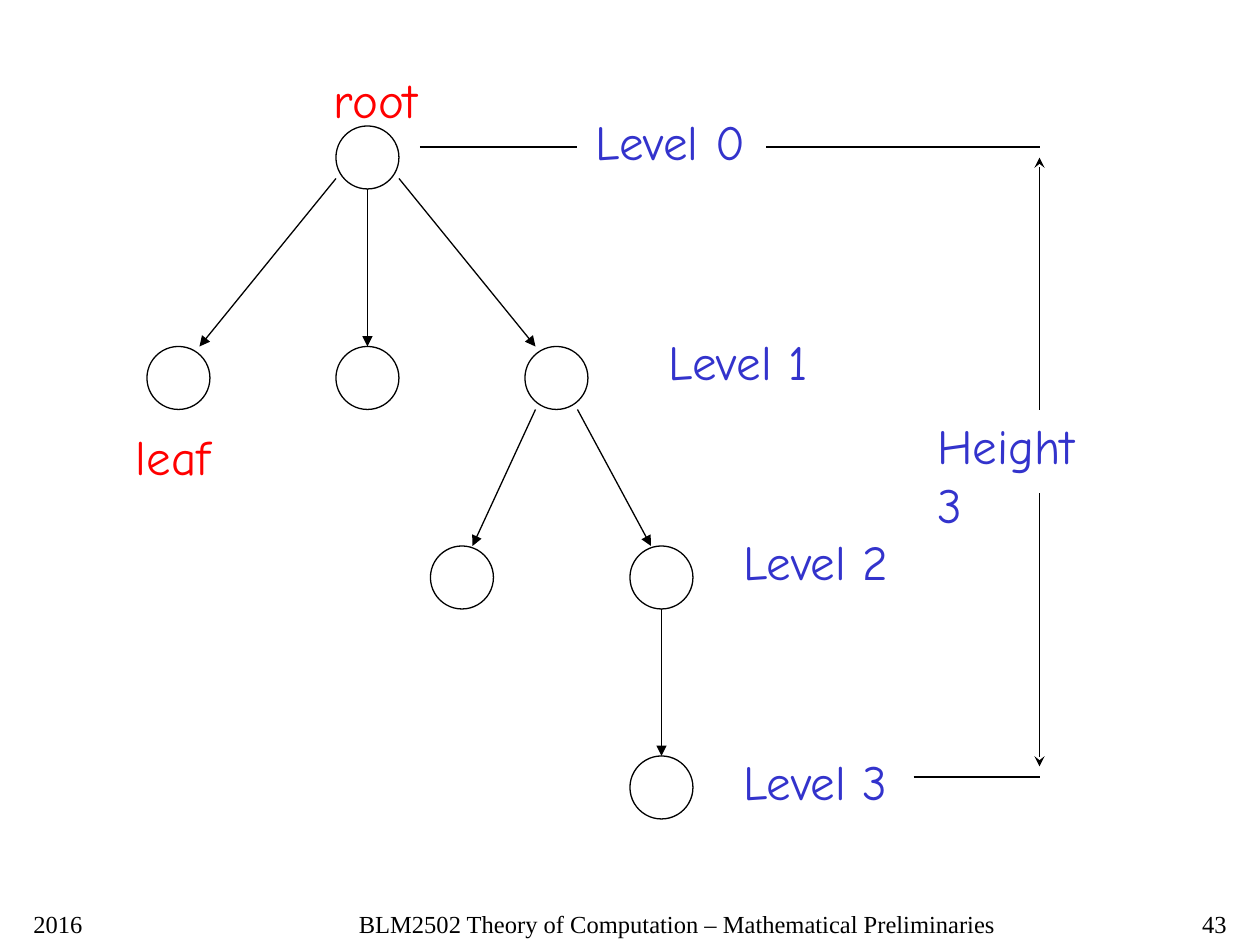
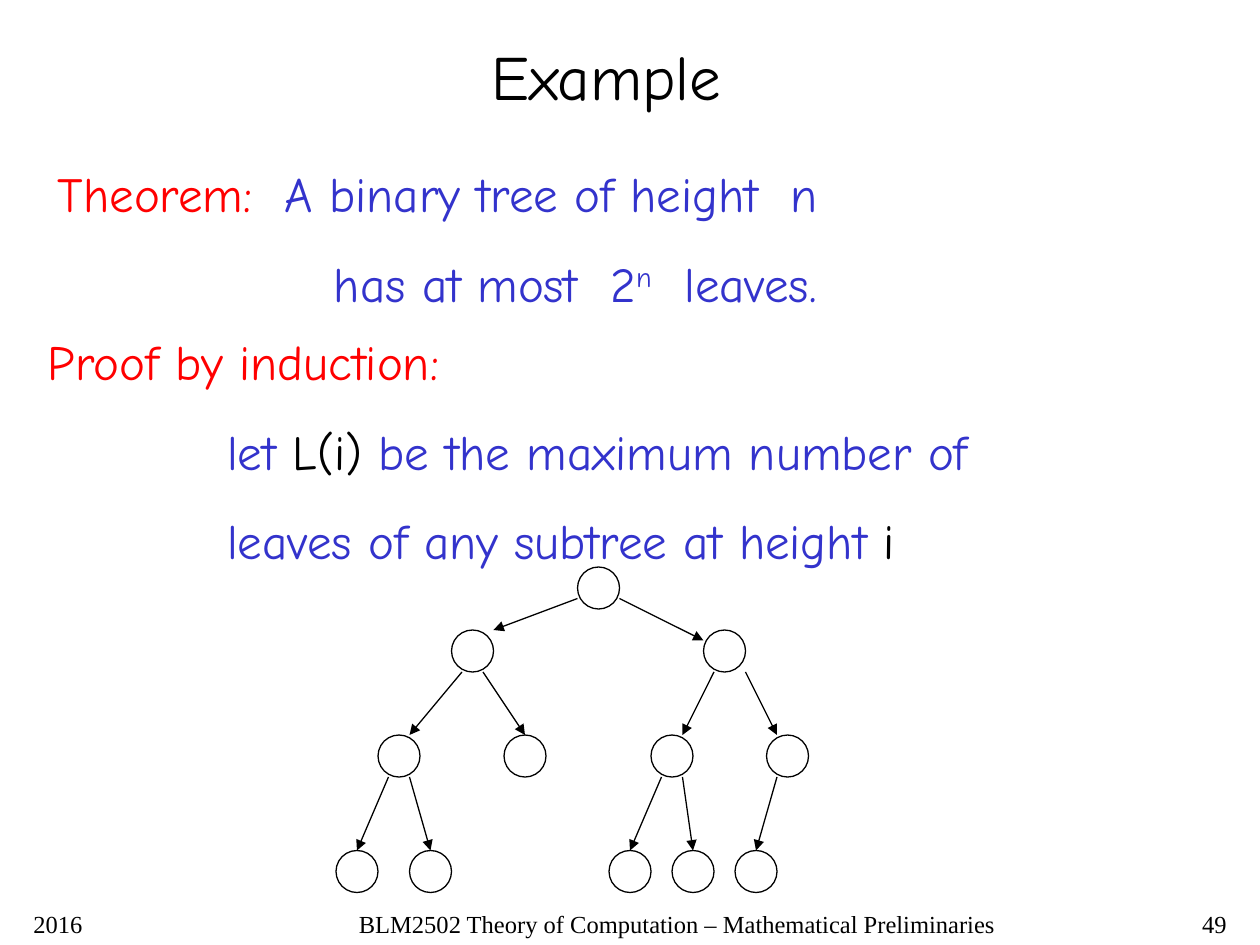
import dataclasses

import pptx
import pptx.dml.color
import pptx.enum.shapes
import pptx.enum.text
import pptx.oxml.ns
import pptx.util
from lxml import etree

ALIGN = pptx.enum.text.PP_ALIGN
FIT = pptx.enum.text.MSO_AUTO_SIZE
TOP = pptx.enum.text.MSO_ANCHOR.TOP
OVAL = pptx.enum.shapes.MSO_SHAPE.OVAL
LINE = pptx.enum.shapes.MSO_CONNECTOR.STRAIGHT


@dataclasses.dataclass(frozen=True)
class Theme:
    black: str = "000000"
    red: str = "FF0000"
    blue: str = "3333CC"
    hand: str = "Comic Neue"
    serif: str = "Times New Roman"
    title: float = 36
    body: float = 28
    foot: float = 14
    space: float = 17.5
    stroke: float = 0.75


THEME = Theme()
GRID = 2.54 / 12
SUPER = {"baseline": "30000"}
WIDE = {"spc": "930"}


def grid(count):
    return pptx.util.Cm(count * GRID)


def apply(thing, values):
    for name, value in values.items():
        setattr(thing, name, value)


def tint(code):
    return pptx.dml.color.RGBColor.from_string(code)


def place(shape, box):
    apply(shape, dict(zip(("left", "top", "width", "height"), map(grid, box))))


def add_run(para, words, ink, face, size, marks):
    run = para.add_run()
    run.text = words
    apply(run.font, {"name": face, "size": pptx.util.Pt(size)})
    run.font.color.rgb = tint(ink)
    for name, value in marks.items():
        run.font._element.set(name, value)


def fill_text(frame, paras, face, size, align=ALIGN.LEFT, grow=True):
    apply(frame, {
        "word_wrap": not grow,
        "auto_size": FIT.SHAPE_TO_FIT_TEXT if grow else FIT.NONE,
        "vertical_anchor": TOP,
    })
    for order, (indent, runs) in enumerate(paras):
        para = frame.add_paragraph() if order else frame.paragraphs[0]
        para.alignment = align
        if order:
            para.space_before = pptx.util.Pt(THEME.space)
        if indent:
            props = para._p.get_or_add_pPr()
            props.set("marL", str(grid(indent)))
            props.set("indent", "0")
        for words, ink, marks in runs:
            add_run(para, words, ink, face, size, marks)


def add_text(slide, box, paras, face=THEME.hand, size=THEME.body, **style):
    shape = slide.shapes.add_textbox(*map(grid, box))
    fill_text(shape.text_frame, paras, face, size, **style)


def add_label(slide, words, left, top, width, ink=THEME.blue):
    add_text(slide, (left, top, width, 6.84), [(0, [(words, ink, {})])])


def add_title(slide, words, box):
    place(slide.shapes.title, box)
    paras = [(0, [(words, THEME.black, {})])]
    fill_text(slide.shapes.title.text_frame, paras, THEME.hand, THEME.title)


def add_foot(slide, number):
    for words, left, width, align in (
        ("2016", 2, 21, ALIGN.LEFT),
        ("BLM2502 Theory of Computation – Mathematical Preliminaries",
         28, 73, ALIGN.CENTER),
        (number, 93, 25, ALIGN.RIGHT),
    ):
        add_text(slide, (left, 86, width, 4), [(0, [(words, THEME.black, {})])],
                 THEME.serif, THEME.foot, align=align, grow=False)


def add_node(slide, left, top, size):
    node = slide.shapes.add_shape(OVAL, *map(grid, (left, top, size, size)))
    node.shadow.inherit = False
    node.fill.background()
    draw_line(node.line)


def draw_line(line):
    line.color.rgb = tint(THEME.black)
    line.width = pptx.util.Pt(THEME.stroke)


def add_line(slide, points, end=None, tip=None):
    link = slide.shapes.add_connector(LINE, *map(grid, points))
    draw_line(link.line)
    props = link._element.spPr
    if end:
        stroke = props.find(pptx.oxml.ns.qn("a:ln"))
        etree.SubElement(stroke, pptx.oxml.ns.qn(f"a:{end}"), type=tip)
    etree.SubElement(props, pptx.oxml.ns.qn("a:effectLst"))


def add_tree(slide, size, rows, links):
    for top, lefts in rows.items():
        for left in lefts:
            add_node(slide, left, top, size)
    for points in links:
        add_line(slide, points, "tailEnd", "triangle")


def build_levels(deck):
    slide = deck.slides.add_slide(deck.slide_layouts[6])
    add_tree(
        slide, 6,
        {12: [32], 33: [14, 32, 50], 52: [41, 60], 72: [60]},
        [(32, 17, 19, 33), (35, 18, 35, 33), (38, 17, 51, 33),
         (51, 39, 45, 52), (55, 39, 62, 52), (63, 58, 63, 72)],
    )
    for points in ((40, 14, 55, 14), (73, 14, 99, 14), (87, 74, 99, 74)):
        add_line(slide, points)
    for points in ((99, 15, 99, 39), (99, 73, 99, 47)):
        add_line(slide, points, "headEnd", "stealth")
    add_label(slide, "root", 30.6, 6, 10.44, THEME.red)
    add_label(slide, "leaf", 11.76, 40, 9.48, THEME.red)
    for level, place_at in enumerate((
        (55.56, 10, 16.68), (62.52, 31, 15.72),
        (69.6, 50, 16.32), (69.6, 71, 16.2),
    )):
        add_label(slide, f"Level {level}", *place_at)
    add_label(slide, "Height 3", 88.08, 39, 19.32)
    add_foot(slide, "43")


def build_proof(deck):
    slide = deck.slides.add_slide(deck.slide_layouts[5])
    black, red, blue = THEME.black, THEME.red, THEME.blue
    gap = (" ", blue, WIDE)
    add_title(slide, "Example", (45.6, 3, 24.36, 8.4))
    add_text(slide, (4.32, 15, 75, 15.36), [
        (0, [("Theorem:", red, {}), gap,
             ("A binary tree of height", blue, {}), gap, ("n", blue, {})]),
        (26.3, [("has at most", blue, {}), gap, ("2", blue, {}),
                ("n", blue, SUPER), gap, ("leaves.", blue, {})]),
    ])
    add_text(slide, (3.36, 31, 91.56, 23.88), [
        (0, [("Proof by induction:", red, {})]),
        (17.1, [("let ", blue, {}), ("L(i)", black, {}),
                (" be the maximum number of", blue, {})]),
        (17.1, [("leaves of any subtree at height ", blue, {}),
                ("i", black, {})]),
    ])
    add_tree(
        slide, 4,
        {54: [55], 60: [43, 67], 70: [36, 48, 62, 73],
         81: [32, 39, 58, 64, 70]},
        [(55, 57, 47, 60), (59, 57, 67, 61), (44, 64, 39, 70),
         (46, 64, 50, 70), (68, 64, 65, 70), (71, 64, 74, 70),
         (37, 74, 34, 81), (39, 74, 41, 81), (63, 74, 60, 81),
         (65, 74, 66, 81), (74, 74, 72, 81)],
    )
    add_foot(slide, "49")


def main():
    deck = pptx.Presentation()
    apply(deck, {"slide_width": grid(120), "slide_height": grid(90)})
    build_levels(deck)
    build_proof(deck)
    deck.save("out.pptx")


if __name__ == "__main__":
    main()
